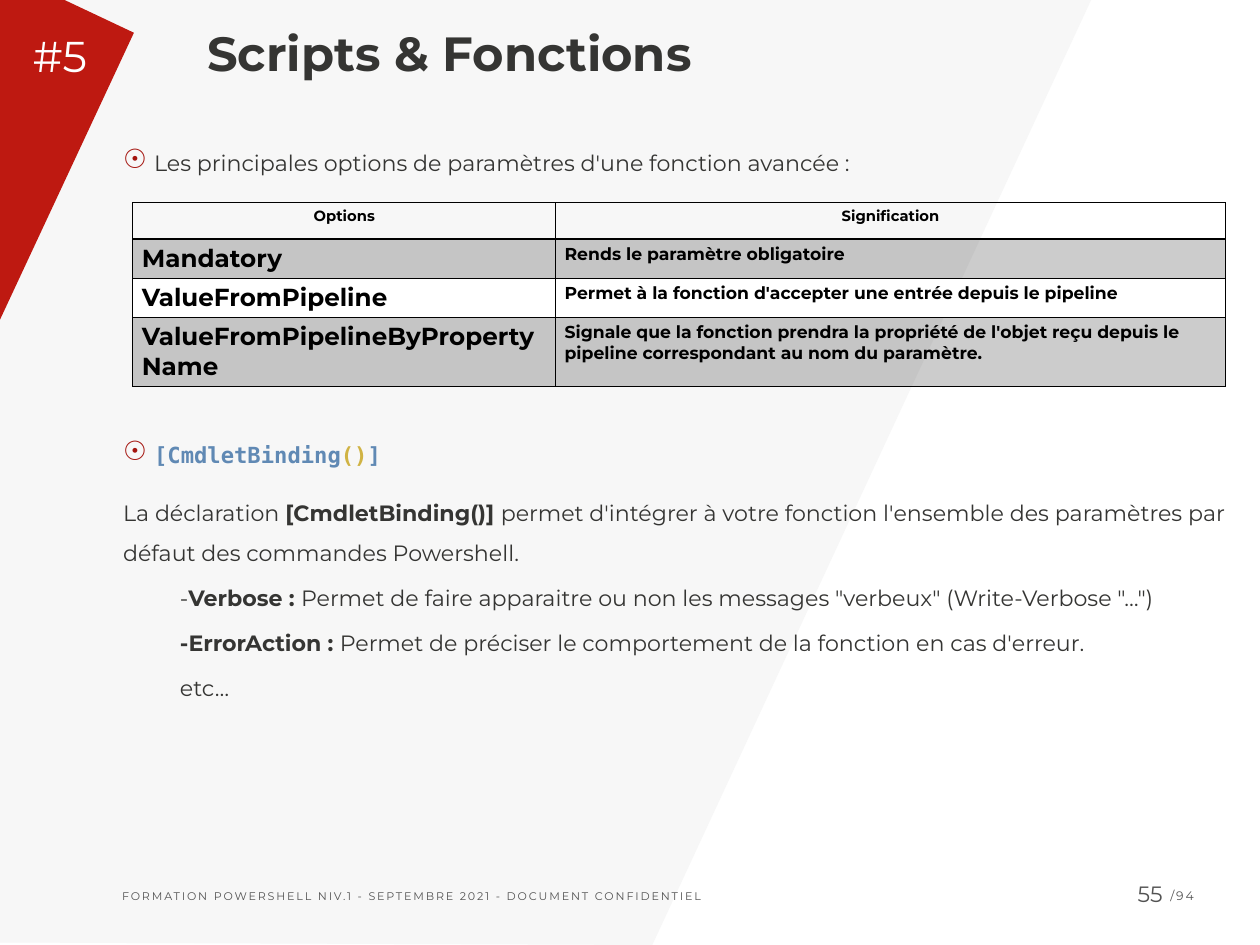
"""Build the slide on advanced function options."""
import pptx
import pptx.util
import pptx.dml.color
import pptx.enum.text
import pptx.oxml
import pptx.oxml.ns

Cm, Pt = pptx.util.Cm, pptx.util.Pt
ALIGN = pptx.enum.text.PP_ALIGN
ANCHOR = pptx.enum.text.MSO_ANCHOR

COLORS = {
    "pale": "F7F7F7", "red": "BE1911", "dark": "353533", "gray": "535353",
    "dot": "A4140E", "blue": "6089B4", "gold": "D0B344",
    "black": "000000", "white": "FFFFFF",
}
SANS, MONO = "Montserrat", "DejaVu Sans Mono"
SIZE = (36.12, 27.1)

TITLE = "Scripts & Fonctions"
PANELS = [
    ("pale", [(0, 0), (31.28, 0), (18.7, 27.1), (0, 27.03)]),
    ("red", [(0, 0), (1.85, 0), (3.84, 0.94), (0, 9.17)]),
]
LABELS = [
    ("FORMATION POWERSHELL NIV.1 - SEPTEMBRE 2021 - DOCUMENT CONFIDENTIEL",
     (3.35, 25.35, 26.52, 0.66), 9, "gray", 150, ALIGN.LEFT),
    ("/94", (33.4, 25.32, 2, 0.71), 10, "gray", 150, ALIGN.LEFT),
    ("55", (31.48, 25.1, 2, 0.94), 18, "gray", 0, ALIGN.RIGHT),
    ("#5", (0.79, 0.69, 2.2, 1.78), 35, "white", 0, ALIGN.LEFT),
]
PLAIN, BOLD = (False, "dark", SANS), (True, "dark", SANS)
BLUE, GOLD = (True, "blue", MONO), (True, "gold", MONO)
INTRO = [("dot", [("Les principales options de paramètres d'une fonction avancée :", PLAIN)])]
DETAIL = [
    ("dot", [("[CmdletBinding", BLUE), ("()", GOLD), ("]", BLUE)]),
    ("body", [
        ("La déclaration ", PLAIN), ("[CmdletBinding()] ", BOLD),
        ("permet d'intégrer à votre fonction l'ensemble des paramètres par défaut "
         "des commandes Powershell.", PLAIN)]),
    ("item", [
        ("-", PLAIN), ("Verbose : ", BOLD),
        ('Permet de faire apparaitre ou non les messages "verbeux" (Write-Verbose "…")', PLAIN)]),
    ("item", [
        ("-ErrorAction : ", BOLD),
        ("Permet de préciser le comportement de la fonction en cas d'erreur.", PLAIN)]),
    ("item", [("etc…", PLAIN)]),
]
BLOCKS = [(INTRO, 3.89, 1.2), (DETAIL, 12.27, 8)]
INDENT = {"dot": (0.89, -0.89), "body": (0, 0), "item": (1.63, 0)}
ROWS = [
    ("Options", "Signification"),
    ("Mandatory", "Rends le paramètre obligatoire"),
    ("ValueFromPipeline", "Permet à la fonction d'accepter une entrée depuis le pipeline"),
    ("ValueFromPipelineByPropertyName",
     "Signale que la fonction prendra la propriété de l'objet reçu depuis le pipeline "
     "correspondant au nom du paramètre."),
]
WIDTHS = (12.12, 19.2)
HEIGHTS = (1.04, 1.12, 1.12, 1.98)


def tint(name):
    return pptx.dml.color.RGBColor.from_string(COLORS[name])


def node(tag, body="", attrs=""):
    space = pptx.oxml.ns.nsdecls("a")
    return pptx.oxml.parse_xml(f"<a:{tag} {space} {attrs}>{body}</a:{tag}>")


def style(run, size, color, bold=False, font=SANS):
    run.font.size, run.font.bold, run.font.name = Pt(size), bold, font
    run.font.color.rgb = tint(color)


def pad(frame, inset):
    frame.word_wrap = True
    frame.margin_left = frame.margin_right = Cm(inset)
    frame.margin_top = frame.margin_bottom = Cm(inset)


def add_box(slide, place, inset):
    frame = slide.shapes.add_textbox(*map(Cm, place)).text_frame
    pad(frame, inset)
    return frame


def add_panel(slide, color, points):
    spots = [(Cm(x), Cm(y)) for x, y in points]
    path = slide.shapes.build_freeform(*spots[0])
    path.add_line_segments(spots[1:], close=True)
    shape = path.convert_to_shape()
    shape.shadow.inherit = False
    shape.fill.solid()
    shape.fill.fore_color.rgb = tint(color)
    shape.line.fill.background()


def add_label(slide, text, place, size, color, gap, align):
    frame = add_box(slide, place, 0.15)
    frame.text = text
    para = frame.paragraphs[0]
    para.alignment = align
    style(para.runs[0], size, color)
    para.runs[0].font._element.set("spc", str(gap))


def add_block(slide, lines, top, height):
    frame = add_box(slide, (3.53, top, 31.85, height), 0)
    for i, (kind, parts) in enumerate(lines):
        para = frame.add_paragraph() if i else frame.paragraphs[0]
        para.line_spacing = 1.0 if kind == "item" else 1.5
        para.space_before = Pt(15 if i else 0)
        props = para._p.get_or_add_pPr()
        for key, value in zip(("marL", "indent"), INDENT[kind]):
            props.set(key, str(int(Cm(value))))
        if kind == "dot":
            props.append(node("buClr", f'<a:srgbClr val="{COLORS["dot"]}"/>'))
            props.append(node("buSzPct", attrs='val="120000"'))
            props.append(node("buChar", attrs='char="☉"'))
        for text, (bold, color, font) in parts:
            run = para.add_run()
            run.text = text
            style(run, 18, color, bold, font)


def paint(cell, row):
    if row == 0:
        cell.fill.background()
    else:
        cell.fill.solid()
        cell.fill.fore_color.rgb = tint("black" if row % 2 else "white")
    props = cell._tc.get_or_add_tcPr()
    if row % 2:
        props.find(".//" + pptx.oxml.ns.qn("a:srgbClr")).append(node("alpha", attrs='val="20000"'))
    ink = f'<a:solidFill><a:srgbClr val="{COLORS["black"]}"/></a:solidFill>'
    for i, side in enumerate("LRTB"):
        thick = (row, side) in ((0, "B"), (1, "T"))
        props.insert(i, node("ln" + side, ink, f'w="{Pt(2 if thick else 1)}"'))


def add_grid(slide):
    place = (3.81, 5.82, sum(WIDTHS), sum(HEIGHTS))
    table = slide.shapes.add_table(len(ROWS), len(WIDTHS), *map(Cm, place)).table
    table.first_row = table.horz_banding = False
    for col, width in zip(table.columns, WIDTHS):
        col.width = Cm(width)
    for r, texts in enumerate(ROWS):
        table.rows[r].height = Cm(HEIGHTS[r])
        for c, text in enumerate(texts):
            cell = table.cell(r, c)
            cell.text = text
            para = cell.text_frame.paragraphs[0]
            para.alignment = ALIGN.LEFT if r else ALIGN.CENTER
            style(para.runs[0], (20, 14)[c] if r else 12, "black", True)
            paint(cell, r)


def add_title(slide):
    title = slide.shapes.title
    title.left, title.top, title.width, title.height = map(Cm, (5.79, 0, 30.33, 2.49))
    frame = title.text_frame
    frame.text = TITLE
    pad(frame, 0.15)
    frame.auto_size = pptx.enum.text.MSO_AUTO_SIZE.NONE
    frame.vertical_anchor = ANCHOR.BOTTOM
    frame.paragraphs[0].alignment = ALIGN.LEFT
    style(frame.paragraphs[0].runs[0], 39, "dark", True)
    title.element.getparent().append(title.element)


def main():
    deck = pptx.Presentation()
    deck.slide_width, deck.slide_height = map(Cm, SIZE)
    slide = deck.slides.add_slide(deck.slide_layouts[5])
    for panel in PANELS:
        add_panel(slide, *panel)
    add_title(slide)
    for block in BLOCKS:
        add_block(slide, *block)
    add_grid(slide)
    for label in LABELS:
        add_label(slide, *label)
    deck.save("out.pptx")


if __name__ == "__main__":
    main()
